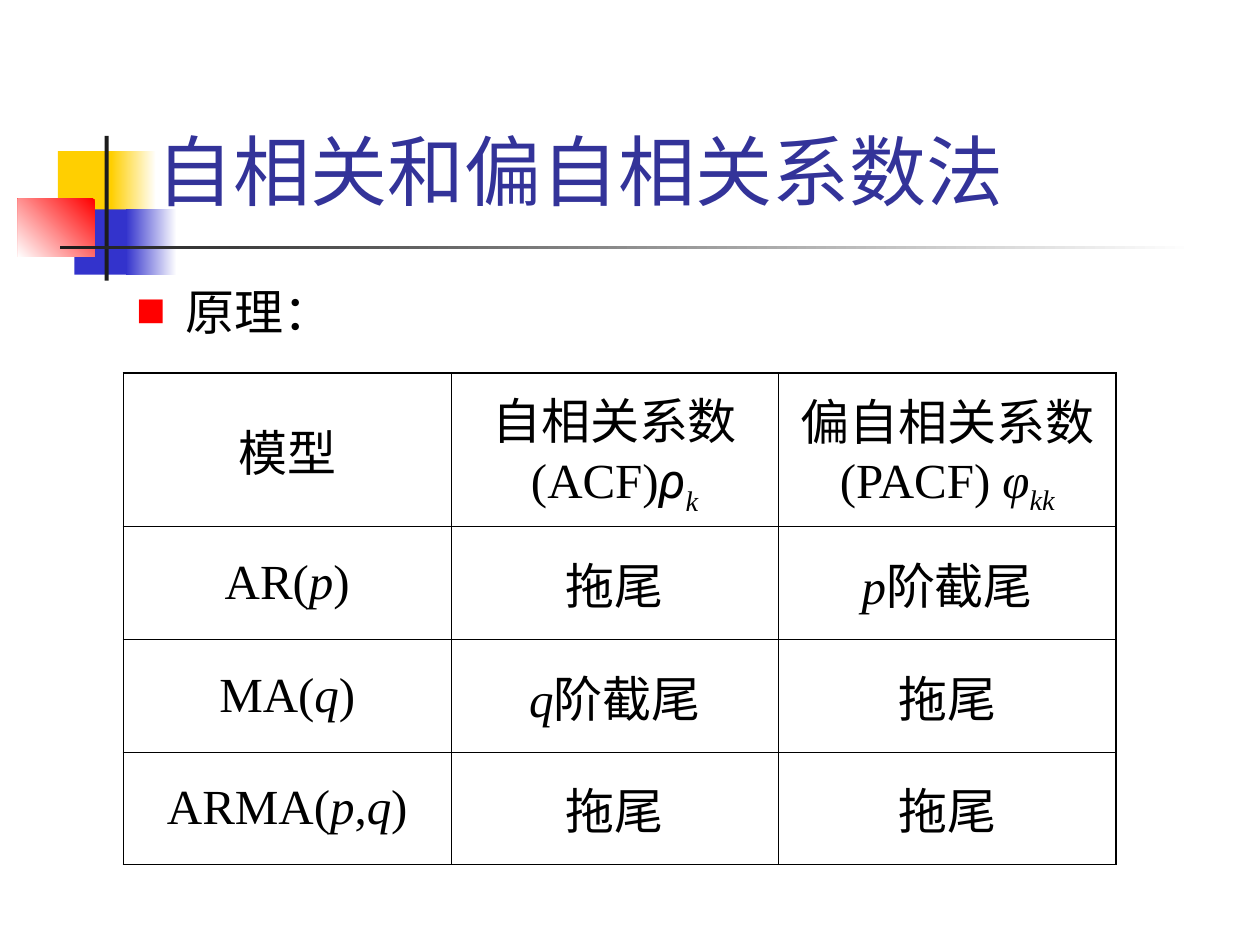
"""Build the slide on autocorrelation and partial autocorrelation."""
import pptx
import pptx.dml.color
import pptx.enum.shapes
import pptx.enum.text
import pptx.oxml
import pptx.util
from pptx.oxml.ns import nsdecls

Cm, Pt = pptx.util.Cm, pptx.util.Pt
ALIGN, ANCHOR = pptx.enum.text.PP_ALIGN, pptx.enum.text.MSO_ANCHOR
FACE, BLACK = "Times New Roman", "000000"

TITLE = "自相关和偏自相关系数法"
LEAD = "原理："
# "/" marks an italic run, "_" an italic subscript
ROWS = [
    ["模型", "自相关系数(ACF)|/ρ|_k", "偏自相关系数(PACF) |/φ|_kk"],
    ["AR(|/p|)", "拖尾", "/p|阶截尾"],
    ["MA(|/q|)", "/q|阶截尾", "拖尾"],
    ["ARMA(|/p|,|/q|)", "拖尾", "拖尾"],
]
WIDTHS = [6.6, 6.6, 6.81]
HEIGHTS = [3.1, 2.27, 2.27, 2.27]
DECOR = [
    ((1.17, 3.05, 1.22, 1.32), ["FFCF01"], 0),
    ((2.24, 3.05, 0.91, 1.32), ["FFFFFF", "FFCF01"], 180),
    ((1.5, 4.22, 1.17, 1.32), ["3333CC"], 0),
    ((2.54, 4.22, 1.02, 1.32), ["FFFFFF", "3333CC"], 180),
    ((0.36, 4.01, 1.55, 1.17), ["FF0000", "FFFFFF"], 225),
    ((2.11, 2.74, 0.08, 2.92), ["1C1C1C"], 0),
    ((1.22, 4.95, 22.86, 0.08), ["FFFFFF", "1C1C1C"], 180),
]


def paint(color, tint):
    color.rgb = pptx.dml.color.RGBColor.from_string(tint)


def style(para, size, tint):
    para.font.size, para.font.name = Pt(size), FACE
    paint(para.font.color, tint)


def block(slide, box, tints, angle):
    shape = slide.shapes.add_shape(
        pptx.enum.shapes.MSO_SHAPE.RECTANGLE, *map(Cm, box))
    shape.shadow.inherit = False
    shape.line.fill.background()
    if len(tints) == 1:
        shape.fill.solid()
        paint(shape.fill.fore_color, tints[0])
        return
    shape.fill.gradient()
    shape.fill.gradient_angle = angle
    for stop, tint in zip(shape.fill.gradient_stops, tints):
        paint(stop.color, tint)


def place(slide, holder, box, text, anchor):
    slide.shapes._spTree.append(holder._element)
    holder.left, holder.top, holder.width, holder.height = map(Cm, box)
    frame = holder.text_frame
    frame.text = text
    frame.auto_size = pptx.enum.text.MSO_AUTO_SIZE.NONE
    frame.vertical_anchor = anchor
    para = frame.paragraphs[0]
    para.alignment, para.space_before = ALIGN.LEFT, Pt(0)
    return para


def bullet(para):
    props = para._p.get_or_add_pPr()
    props.set("marL", str(Cm(1)))
    props.set("indent", str(-Cm(1)))
    for part in ('buClr %s><a:srgbClr val="FF0000"/></a:buClr>',
                 f'buFont %s typeface="{FACE}"/>', 'buChar %s char="■"/>'):
        props.append(pptx.oxml.parse_xml("<a:" + part % nsdecls("a")))


def border(cell, sides):
    props = cell._tc.get_or_add_tcPr()
    for side, outer in sides.items():
        width = Pt(1.08 if outer else 0.45)
        props.append(pptx.oxml.parse_xml(
            f'<a:ln{side} {nsdecls("a")} w="{width}"><a:solidFill>'
            f'<a:srgbClr val="{BLACK}"/></a:solidFill></a:ln{side}>'))


def write(para, text):
    para.alignment = ALIGN.CENTER
    style(para, 28, BLACK)
    for piece in text.split("|"):
        run = para.add_run()
        run.text = piece.lstrip("/_")
        if piece[0] in "/_":
            run.font.italic = True
        if piece[0] == "_":
            run.font._element.set("baseline", "-25000")
        if run.text == "ρ":
            run.font.name = "Roboto"


def grid(slide):
    table = slide.shapes.add_table(
        len(ROWS), len(WIDTHS), Cm(2.49), Cm(7.52),
        Cm(sum(WIDTHS)), Cm(sum(HEIGHTS))).table
    table.first_row = table.horz_banding = False
    for col, width in zip(table.columns, WIDTHS):
        col.width = Cm(width)
    for r, (row, height) in enumerate(zip(ROWS, HEIGHTS)):
        table.rows[r].height = Cm(height)
        for c, text in enumerate(row):
            cell = table.cell(r, c)
            cell.vertical_anchor = ANCHOR.MIDDLE
            border(cell, {"L": c == 0, "R": c == len(WIDTHS) - 1,
                          "T": r == 0, "B": r == len(ROWS) - 1})
            cell.fill.background()
            write(cell.text_frame.paragraphs[0], text)


def main():
    deck = pptx.Presentation()
    deck.slide_width, deck.slide_height = Cm(25.4), Cm(19.05)
    slide = deck.slides.add_slide(deck.slide_layouts[1])
    title, body = slide.placeholders
    for box, tints, angle in DECOR:
        block(slide, box, tints, angle)
    head = place(slide, title, (2.9, 1.93, 20.4, 2.54), TITLE, ANCHOR.BOTTOM)
    head.line_spacing = 1.5
    style(head, 44, "333399")
    grid(slide)
    lead = place(slide, body, (2.49, 5.54, 7.59, 1.45), LEAD, ANCHOR.TOP)
    bullet(lead)
    style(lead, 28, BLACK)
    deck.save("out.pptx")


if __name__ == "__main__":
    main()
